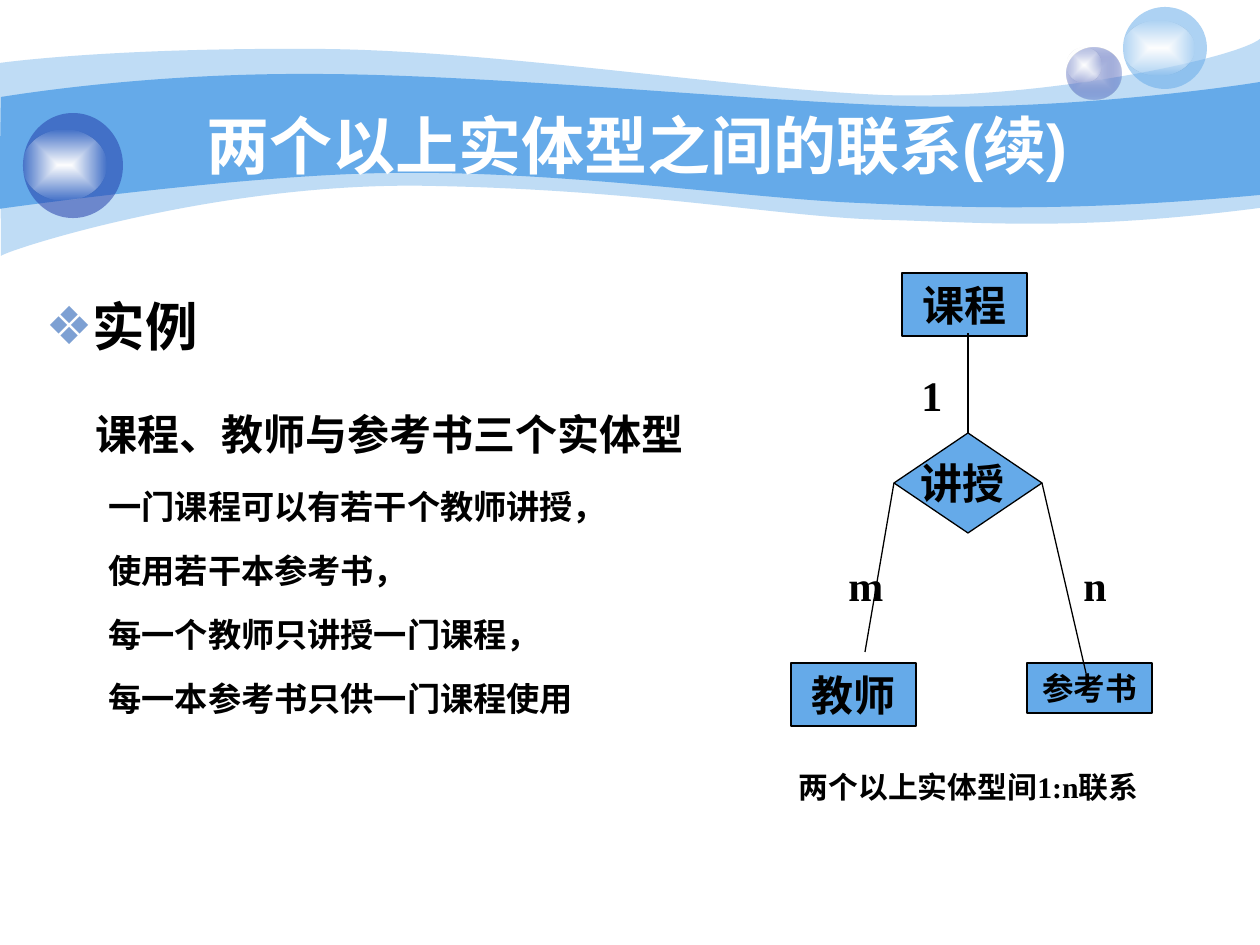
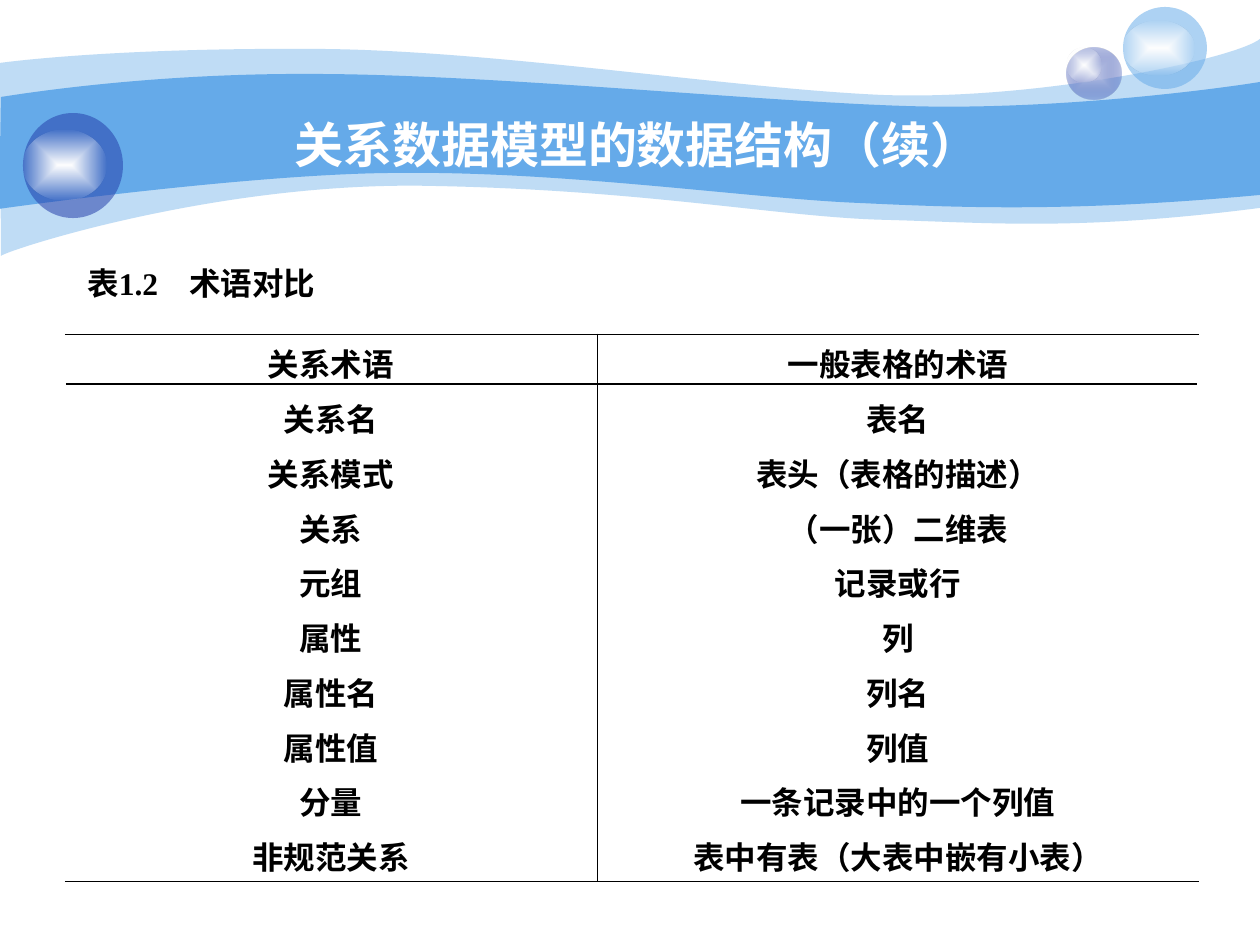
from dataclasses import dataclass

from lxml.etree import SubElement
from pptx import Presentation
from pptx.dml.color import RGBColor
from pptx.enum.shapes import MSO_CONNECTOR, MSO_SHAPE
from pptx.enum.text import MSO_ANCHOR, MSO_AUTO_SIZE, PP_ALIGN
from pptx.oxml.ns import qn
from pptx.util import Emu, Pt

EMU_PER_PX = 914400 / 126
NO_STYLE = "{2D5ABB26-0587-4C30-8999-92F81FD0307C}"


@dataclass(frozen=True)
class Theme:
    """Colours, fonts and type sizes of the deck."""
    sky: str = "65AAE9"
    navy: str = "233DA9"
    lilac: str = "C7CEE9"
    bullet: str = "7DA0D3"
    ink: str = "000000"
    white: str = "FFFFFF"
    sans: str = "Arial"
    serif: str = "Times New Roman"
    title: int = 36
    long_title: int = 28
    heading: int = 30
    lead: int = 24
    point: int = 19
    node: int = 24
    small: int = 18
    caption: int = 17
    line: float = 0.75
    hairline: float = 0.45


@dataclass(frozen=True)
class Box:
    """A rectangle in px."""
    left: int
    top: int
    width: int
    height: int

    def inner(self, left, top, width, height):
        """Return a box placed relative to this one."""
        return Box(self.left + left, self.top + top, width, height)

    def point(self, x, y):
        """Return a relative point as EMU lengths."""
        return px(self.left + x), px(self.top + y)

    def emu(self):
        """Return left, top, width and height as EMU lengths."""
        return [px(n) for n in (self.left, self.top, self.width, self.height)]


THEME = Theme()
PAGE = Box(0, 0, 1260, 945)

PALE_WAVE = (
    [(0, 63), (30, 59), (135, 48), (311, 49), (486, 49), (725, 88), (881, 95),
     (1036, 101), (1235, 59), (1260, 39)],
    [(1260, 208), (1081, 231), (992, 223), (888, 220), (784, 218), (649, 190),
     (432, 186), (217, 181), (5, 251), (1, 256)])
STRONG_WAVE = (
    [(1, 97), (3, 97), (139, 73), (312, 74), (486, 74), (750, 101), (905, 106),
     (1060, 111), (1230, 87), (1260, 82)],
    [(1260, 195), (1075, 212), (964, 208), (859, 203), (755, 199), (563, 171),
     (399, 173), (256, 173), (-3, 209), (-1, 209)])

POINTS = ["一门课程可以有若干个教师讲授，", "使用若干本参考书，",
          "每一个教师只讲授一门课程，", "每一本参考书只供一门课程使用"]
TERMS = [
    ("关系术语", "一般表格的术语"), ("关系名", "表名"),
    ("关系模式", "表头（表格的描述）"), ("关系", "（一张）二维表"),
    ("元组", "记录或行"), ("属性", "列"), ("属性名", "列名"),
    ("属性值", "列值"), ("分量", "一条记录中的一个列值"),
    ("非规范关系", "表中有表（大表中嵌有小表）")]


def px(length):
    """Turn px into EMU."""
    return Emu(round(length * EMU_PER_PX))


def rgb(color):
    """Turn a hex string into a colour."""
    return RGBColor.from_string(color)


def style(para, size, font=THEME.serif, color=THEME.ink, align=PP_ALIGN.CENTER):
    """Format a paragraph and its runs."""
    para.alignment = align
    para.space_before = Pt(0)
    for span in para.runs:
        span.font.size, span.font.name, span.font.bold = Pt(size), font, True
        span.font.color.rgb = rgb(color)


def paint(shape, color, opacity=100):
    """Give a shape a flat fill without line or shadow."""
    shape.shadow.inherit = False
    shape.line.fill.background()
    shape.fill.solid()
    shape.fill.fore_color.rgb = rgb(color)
    if opacity < 100:
        swatch = next(shape.element.spPr.iter(qn("a:srgbClr")))
        SubElement(swatch, qn("a:alpha"), val=str(opacity * 1000))


def paint_glow(shape, center, rim, rim_opacity):
    """Give a shape a gradient from its centre to a see-through rim."""
    paint(shape, rim)
    shape.fill.gradient()
    gradient = shape.element.spPr.find(qn("a:gradFill"))
    for child in list(gradient):
        gradient.remove(child)
    stops = SubElement(gradient, qn("a:gsLst"))
    for position, color, opacity in ((0, center, 100), (100, rim, rim_opacity)):
        stop = SubElement(stops, qn("a:gs"), pos=str(position * 1000))
        swatch = SubElement(stop, qn("a:srgbClr"), val=color)
        SubElement(swatch, qn("a:alpha"), val=str(opacity * 1000))
    shade = SubElement(gradient, qn("a:path"), path="rect")
    SubElement(shade, qn("a:fillToRect"), dict.fromkeys("ltrb", "50000"))


def bend(lines):
    """Join each three line segments into one cubic curve."""
    for first in range(0, len(lines), 3):
        curve = lines[first].getparent().makeelement(qn("a:cubicBezTo"))
        lines[first].addprevious(curve)
        for line in lines[first:first + 3]:
            curve.append(line[0])
            line.getparent().remove(line)


def add_wave(page, box, edges, opacity):
    """Draw a band between two curved edges."""
    outline = [box.point(x, y) for edge in edges for x, y in edge]
    builder = page.shapes.build_freeform(*outline[0])
    builder.add_line_segments(outline[1:])
    wave = builder.convert_to_shape()
    lines = list(wave.element.iter(qn("a:lnTo")))
    turn = len(edges[0]) - 1
    bend(lines[:turn])
    bend(lines[turn + 1:turn + len(edges[1])])
    paint(wave, THEME.sky, opacity)
    return wave


def add_ball(page, ball_box, shine_box):
    """Draw a ball with a white shine and return both shapes."""
    ball, shine = [page.shapes.add_shape(MSO_SHAPE.OVAL, *box.emu())
                   for box in (ball_box, shine_box)]
    paint_glow(shine, THEME.white, THEME.white, 0)
    return [ball, shine]


def add_banner(deck, page, box):
    """Draw the waves and balls and move them to the slide master."""
    shapes = [add_wave(page, box, PALE_WAVE, 41), add_wave(page, box, STRONG_WAVE, 100)]
    lilac = add_ball(page, box.inner(1067, 48, 54, 51), box.inner(1067, 48, 35, 34))
    sky = add_ball(page, box.inner(1123, 7, 84, 82), box.inner(1123, 21, 71, 54))
    navy = add_ball(page, box.inner(23, 113, 100, 105), box.inner(23, 130, 83, 70))
    paint_glow(lilac[0], THEME.lilac, THEME.navy, 31)
    paint(sky[0], THEME.sky, 53)
    paint(navy[0], THEME.navy, 53)
    tree = deck.slide_master.element.cSld.spTree
    for index, shape in enumerate(shapes + lilac + sky + navy):
        next(shape.element.iter(qn("p:cNvPr"))).set("id", str(101 + index))
        tree.insert(2 + index, shape.element)


def set_title(page, text, size):
    """Fill the title placeholder on the band."""
    title = page.shapes.title
    title.left, title.top, title.width, title.height = PAGE.inner(128, 105, 1018, 78).emu()
    frame = title.text_frame
    frame.text = text
    frame.auto_size = MSO_AUTO_SIZE.NONE
    frame.vertical_anchor = MSO_ANCHOR.MIDDLE
    style(frame.paragraphs[0], size, THEME.sans, THEME.white)


def add_text(page, box, text, size, align=PP_ALIGN.LEFT):
    """Add a one-paragraph text box and return the paragraph."""
    frame = page.shapes.add_textbox(*box.emu()).text_frame
    frame.word_wrap = True
    frame.text = text
    style(frame.paragraphs[0], size, align=align)
    return frame.paragraphs[0]


def add_line(page, start, end):
    """Draw a thin black line."""
    line = page.shapes.add_connector(MSO_CONNECTOR.STRAIGHT, *start, *end)
    line.line.color.rgb = rgb(THEME.ink)
    line.line.width = Pt(THEME.line)
    SubElement(line.element.spPr, qn("a:effectLst"))
    return line


def fill_example(page, box):
    """Fill the body placeholder with the example."""
    body = page.placeholders[1]
    body.left, body.top, body.width, body.height = box.emu()
    frame = body.text_frame
    frame.auto_size = MSO_AUTO_SIZE.NONE
    rows = [("实例", THEME.heading, 47, 0), ("课程、教师与参考书三个实体型", THEME.lead, 50, 17.5)]
    rows += [(text, THEME.point, 63, 6.5 if text == POINTS[0] else 4.8) for text in POINTS]
    frame.text = "\n".join(row[0] for row in rows)
    for index, (para, (_, size, margin, gap)) in enumerate(zip(frame.paragraphs, rows)):
        para.level = 1 if size == THEME.point else 0
        properties = para._p.get_or_add_pPr()
        properties.set("marL", str(px(margin)))
        properties.set("indent", str(px(0 if index else -margin)))
        if index:
            SubElement(properties, qn("a:buNone"))
        else:
            color = SubElement(properties, qn("a:buClr"))
            SubElement(color, qn("a:srgbClr"), val=THEME.bullet)
            SubElement(properties, qn("a:buChar"), char="❖")
        style(para, size, THEME.sans, align=PP_ALIGN.LEFT)
        para.space_before = Pt(gap)
        para.line_spacing = 1.4


def add_node(page, box, text, size=THEME.node, kind=MSO_SHAPE.RECTANGLE):
    """Add an entity or relationship of the diagram."""
    node = page.shapes.add_shape(kind, *box.emu())
    paint(node, THEME.sky)
    node.line.color.rgb = rgb(THEME.ink)
    node.line.width = Pt(THEME.line)
    frame = node.text_frame
    frame.text = text
    is_entity = kind == MSO_SHAPE.RECTANGLE
    frame.word_wrap = is_entity
    frame.vertical_anchor = MSO_ANCHOR.TOP if is_entity else MSO_ANCHOR.MIDDLE
    style(frame.paragraphs[0], size)
    return node


def add_diagram(page, box):
    """Draw the entity diagram with its caption."""
    add_node(page, box.inner(132, 0, 125, 63), "课程")
    add_node(page, box.inner(21, 390, 125, 63), "教师")
    add_node(page, box.inner(257, 390, 125, 50), "参考书", THEME.small)
    teaching = add_node(page, box.inner(124, 160, 148, 100), "讲授", kind=MSO_SHAPE.DIAMOND)
    teaching.text_frame.margin_right = px(23)
    for site, start, end in ((0, (198, 160), (198, 60)), (1, (124, 210), (95, 379)),
                             (3, (272, 210), (316, 400))):
        line = add_line(page, box.point(*start), box.point(*end))
        line.begin_connect(teaching, site)
    for text, left, top in (("1", 139, 90), ("m", 66, 280), ("n", 301, 280)):
        add_text(page, box.inner(left, top, 37, 113), text, THEME.node)
    add_text(page, box.inner(0, 490, 397, 49), "两个以上实体型间1:n联系",
             THEME.caption, PP_ALIGN.CENTER)


def format_cell(cell, sides):
    """Clear a cell's fill and rule the given sides."""
    properties = cell._tc.get_or_add_tcPr()
    for side in sides:
        rule = SubElement(properties, qn("a:ln" + side), w=str(Pt(THEME.hairline)))
        SubElement(SubElement(rule, qn("a:solidFill")), qn("a:srgbClr"), val=THEME.ink)
    cell.fill.background()
    cell.vertical_anchor = MSO_ANCHOR.TOP
    cell.margin_bottom = px(2)
    style(cell.text_frame.paragraphs[0], THEME.small)


def add_terms(page, box):
    """Add the table of terms and the line below its header."""
    frame = page.shapes.add_table(len(TERMS), 2, *box.emu())
    table = frame.table
    table.first_row = table.horz_banding = False
    next(frame.element.iter(qn("a:tableStyleId"))).text = NO_STYLE
    for column, width in zip(table.columns, (532, box.width - 532)):
        column.width = px(width)
    for row_index, terms in enumerate(TERMS):
        table.rows[row_index].height = px(box.height / len(TERMS))
        edge = {0: "T", len(TERMS) - 1: "B"}.get(row_index, "")
        for column_index, term in enumerate(terms):
            cell = table.cell(row_index, column_index)
            cell.text = term
            format_cell(cell, "RL"[column_index] + edge)
    add_line(page, box.point(1, 50), box.point(box.width - 2, 50))


def add_table_caption(page, box):
    """Add the table's number and name, set apart by a tab."""
    para = add_text(page, box, "表1.2\t术语对比", THEME.small)
    tabs = SubElement(para._p.get_or_add_pPr(), qn("a:tabLst"))
    SubElement(tabs, qn("a:tab"), pos=str(px(102)), algn="l")


def main():
    """Build and save the deck."""
    deck = Presentation()
    deck.slide_width, deck.slide_height = px(PAGE.width), px(PAGE.height)

    page = deck.slides.add_slide(deck.slide_layouts[1])
    add_banner(deck, page, PAGE)
    set_title(page, "两个以上实体型之间的联系(续)", THEME.title)
    fill_example(page, PAGE.inner(33, 263, 697, 518))
    add_diagram(page, PAGE.inner(770, 273, 397, 539))

    page = deck.slides.add_slide(deck.slide_layouts[5])
    set_title(page, "关系数据模型的数据结构（续）", THEME.long_title)
    add_terms(page, PAGE.inner(65, 334, 1134, 548))
    add_table_caption(page, PAGE.inner(75, 258, 307, 50))

    deck.save("out.pptx")


if __name__ == "__main__":
    main()
